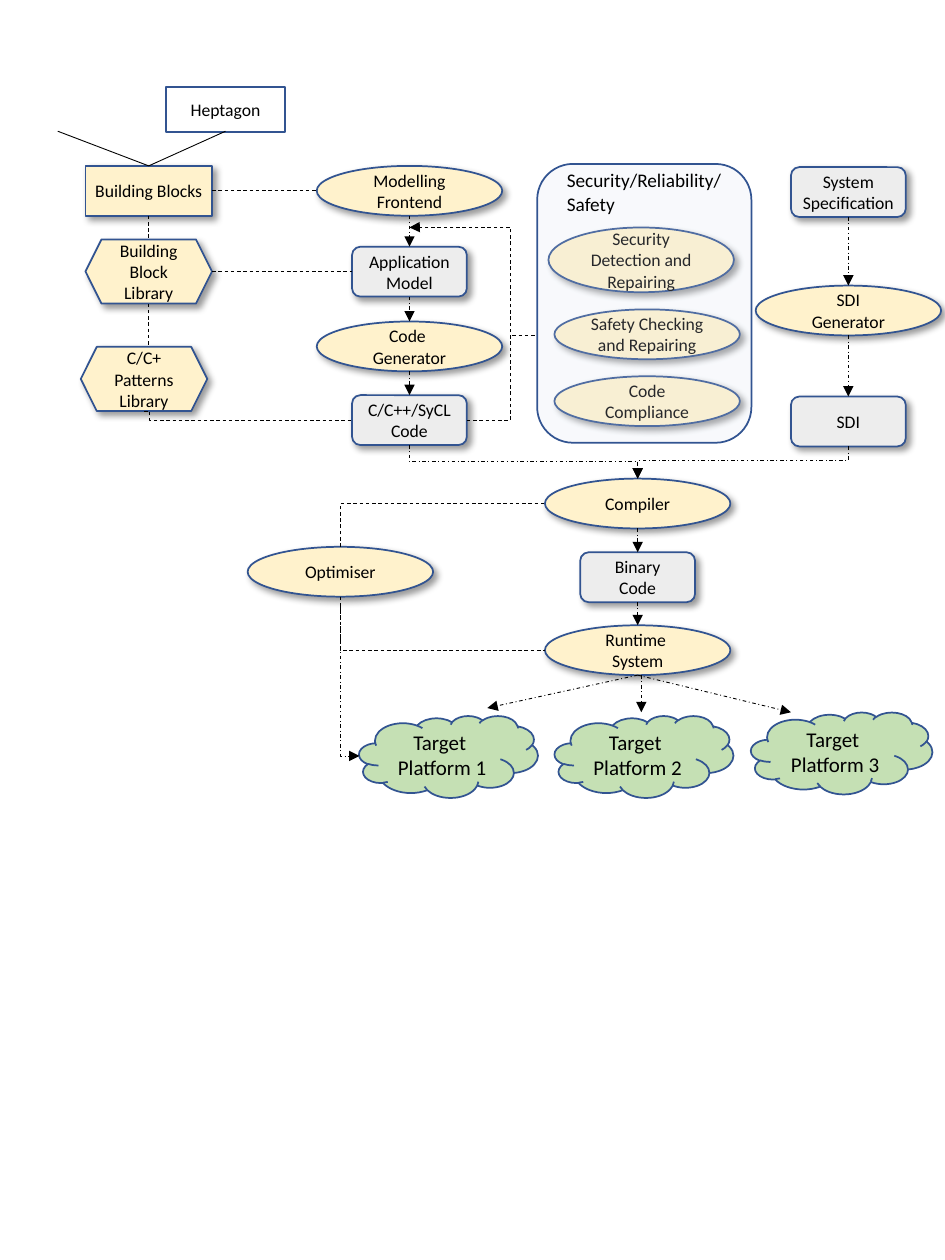
from lxml import etree
from pptx import Presentation
from pptx.dml.color import RGBColor
from pptx.enum.dml import MSO_LINE
from pptx.enum.shapes import MSO_CONNECTOR, MSO_SHAPE
from pptx.enum.text import MSO_ANCHOR, MSO_AUTO_SIZE, PP_ALIGN
from pptx.oxml.ns import qn
from pptx.util import Pt

RECT, ROUND, OVAL = MSO_SHAPE.RECTANGLE, MSO_SHAPE.ROUNDED_RECTANGLE, MSO_SHAPE.OVAL
HEXAGON, CLOUD = MSO_SHAPE.HEXAGON, MSO_SHAPE.CLOUD
STRAIGHT, ELBOW = MSO_CONNECTOR.STRAIGHT, MSO_CONNECTOR.ELBOW
DASH, DOT = MSO_LINE.DASH, MSO_LINE.DASH_DOT
CENTER, LEFT, MIDDLE = PP_ALIGN.CENTER, PP_ALIGN.LEFT, MSO_ANCHOR.MIDDLE
FIT = MSO_AUTO_SIZE.SHAPE_TO_FIT_TEXT

BLACK, BLUE, WHITE = "000000", "325491", "FFFFFF"
CREAM, GREY, GREEN, PALE = "FFF2CC", "EDEDED", "C5E0B4", "DAE3F3"


def color(code):
    return RGBColor.from_string(code)


def add(parent, tag, **attrs):
    node = etree.SubElement(parent, qn(tag))
    for key, value in attrs.items():
        node.set(key, str(value))
    return node


class Chart:
    font = "Calibri"

    def __init__(self, slide):
        self.shapes = slide.shapes

    def letter(self, shape, text, size, align=CENTER):
        frame = shape.text_frame
        frame.text = text
        for para in frame.paragraphs:
            para.alignment = align
            for run in para.runs:
                run.font.name, run.font.size = self.font, Pt(size)
                run.font.color.rgb = color(BLACK)

    def shape(self, kind, mid, top, width, height, fill):
        """A blue-edged shape centred on mid."""
        shape = self.shapes.add_shape(
            kind, Pt(mid - width / 2), Pt(top), Pt(width), Pt(height))
        shape.fill.solid()
        shape.fill.fore_color.rgb = color(fill)
        shape.line.color.rgb = color(BLUE)
        shape.line.width = Pt(1)
        shape.shadow.inherit = False
        return shape

    def node(self, kind, mid, top, text, width, height=28.5, fill=CREAM, shade=True):
        shape = self.shape(kind, mid, top, width, height, fill)
        frame = shape.text_frame
        frame.margin_left = frame.margin_right = Pt(4.3)
        frame.margin_top = frame.margin_bottom = Pt(2.15)
        frame.vertical_anchor = MIDDLE
        self.letter(shape, text, 10.1)
        if shade:
            effects = shape._element.spPr.find(qn("a:effectLst"))
            shadow = add(effects, "a:outerShdw", blurRad=Pt(4), dist=Pt(3),
                         dir=45 * 60000, algn="tl", rotWithShape=0)
            add(add(shadow, "a:srgbClr", val=BLACK), "a:alpha", val=40000)

    def oval(self, mid, top, text, height=28.5):
        self.node(OVAL, mid, top, text, 106, height)

    def box(self, mid, top, text):
        self.node(ROUND, mid, top, text, 65.6, fill=GREY)

    def cloud(self, mid, top, text, width):
        shape = self.shape(CLOUD, mid, top, width, 46.8, GREEN)
        shape.text_frame.vertical_anchor = MIDDLE
        self.letter(shape, text, 12)

    def panel(self, mid, top, width, height):
        shape = self.shape(ROUND, mid, top, width, height, PALE)
        tint = shape._element.spPr.find(qn("a:solidFill"))[0]
        add(tint, "a:alpha", val=18000)

    def label(self, left, top, width, height, text):
        box = self.shapes.add_textbox(Pt(left), Pt(top), Pt(width), Pt(height))
        box.text_frame.word_wrap = False
        box.text_frame.auto_size = FIT
        self.letter(box, text, 11, LEFT)

    def line(self, start, end, dash=None, arrow=False, kind=STRAIGHT):
        line = self.shapes.add_connector(kind, *map(Pt, start + end))
        line.line.color.rgb = color(BLACK)
        line.line.width = Pt(0.5)
        props = line._element.spPr
        if dash:
            line.line.dash_style = dash
        if arrow:
            add(props.find(qn("a:ln")), "a:tailEnd", type="triangle")
        add(props, "a:effectLst")
        return line

    def bend(self, start, end, dash, arrow=False, turn=0, parts=3, adjust=()):
        """An elbow line; its frame is turned clockwise by turn degrees."""
        mid_x, mid_y = (start[0] + end[0]) / 2, (start[1] + end[1]) / 2
        dx, dy = start[0] - mid_x, start[1] - mid_y
        dx, dy = {0: (dx, dy), 90: (dy, -dx), 270: (-dy, dx)}[turn]
        line = self.line((mid_x + dx, mid_y + dy), (mid_x - dx, mid_y - dy),
                         dash, arrow, ELBOW)
        props = line._element.spPr
        props.find(qn("a:xfrm")).set("rot", str(turn * 60000))
        outline = props.find(qn("a:prstGeom"))
        outline.set("prst", f"bentConnector{parts}")
        guides = outline.find(qn("a:avLst"))
        if guides is None:
            guides = add(outline, "a:avLst")
        for index, value in enumerate(adjust, 1):
            name = f"adj{index}" if parts > 2 else "adj"
            add(guides, "a:gd", name=name, fmla=f"val {value}")


deck = Presentation()
deck.slide_width, deck.slide_height = Pt(540), Pt(720)
chart = Chart(deck.slides.add_slide(deck.slide_layouts[6]))

# Column centres
LIB, CODE, BUILD, SPEC, TUNE = 85, 234, 364.4, 484.8, 194.5

# Building blocks and libraries
chart.node(RECT, LIB, 94.8, "Building Blocks", 72.3)
chart.line((33, 75), (LIB, 94.8))
chart.node(RECT, 128.9, 49.7, "Heptagon", 67.8, 25.6, WHITE, False)
chart.line((LIB, 94.8), (128.9, 75))
chart.node(HEXAGON, LIB, 136.8, "Building Block Library", 72.3, 36.7)
chart.node(HEXAGON, 82.3, 198.2, "C/C+ Patterns\nLibrary", 72.3, 36.7)
for top, end in ((123.3, 136.8), (173.5, 198.2)):
    chart.line((LIB, top), (LIB, end), DASH)

# Modelling and code generation
chart.oval(CODE, 94.8, "Modelling Frontend")
chart.box(CODE, 141, "Application\nModel")
chart.oval(CODE, 183.7, "Code \nGenerator")
chart.box(CODE, 225.8, "C/C++/SyCL\nCode")
for top, end in ((123.3, 141), (169.5, 183.7), (212.2, 225.8)):
    chart.line((CODE, top), (CODE, end), DOT, True)
chart.line((121.2, 109), (181, 109), DASH)
chart.line((121.2, 155.2), (201.2, 155.2), DASH)
chart.bend((82.3, 234.9), (201.2, 240), DASH, adjust=(2600,))

# System specification
chart.oval(SPEC, 163.2, "SDI\nGenerator")
chart.box(SPEC, 95.5, "System\nSpecification")
chart.box(SPEC, 226.6, "SDI")
for top, end in ((124, 163.2), (191.7, 226.6)):
    chart.line((SPEC, top), (SPEC, end), DOT, True)

# Compiling and running
chart.oval(BUILD, 273.5, "Compiler")
chart.bend((CODE, 254.3), (BUILD, 273.5), DOT, True, 270)
chart.bend((SPEC, 255.1), (BUILD, 273.5), DOT, True, 90, adjust=(42900,))
chart.box(BUILD, 315.6, "Binary\nCode")
chart.oval(BUILD, 357.3, "Runtime \nSystem")
for top, end in ((302, 315.6), (344.1, 357.3)):
    chart.line((BUILD, top), (BUILD, end), DOT, True)

# Security panel
chart.oval(369.8, 215, "Code\nCompliance")
chart.oval(369.8, 176.8, "Safety Checking and Repairing")
chart.oval(366.4, 130, "Security Detection and Repairing", 37)
chart.panel(368.2, 93.7, 122.4, 159.3)
chart.label(316.8, 92.9, 103.7, 33.8, "Security/Reliability/\nSafety")
chart.bend((266.8, 240), (CODE, 130), DASH, True, parts=4, adjust=(-76300, 100200))
chart.line((292.8, 191.5), (307, 191.5), DASH)

# Target platforms
clouds = ((256.3, 409, 102.2), (368, 409, 102.2), (481, 407, 103.7))
for index, (mid, top, width) in enumerate(clouds, 1):
    chart.cloud(mid, top, f"Target \nPlatform {index}", width)
for start, end in ((366.5, (366.5, 407)), (BUILD, (278.5, 404.6)), (BUILD, (452, 407))):
    chart.line((start, 385.8), end, DOT, True)

# Optimiser
chart.oval(TUNE, 312.5, "Optimiser")
chart.bend((TUNE, 312.5), (311.5, 287.8), DASH, turn=90, parts=2)
chart.bend((TUNE, 341), (311.5, 371.5), DASH, turn=270, parts=2)
chart.bend((TUNE, 341), (205.5, 432), DOT, True, 270, 2)

deck.save("out.pptx")
